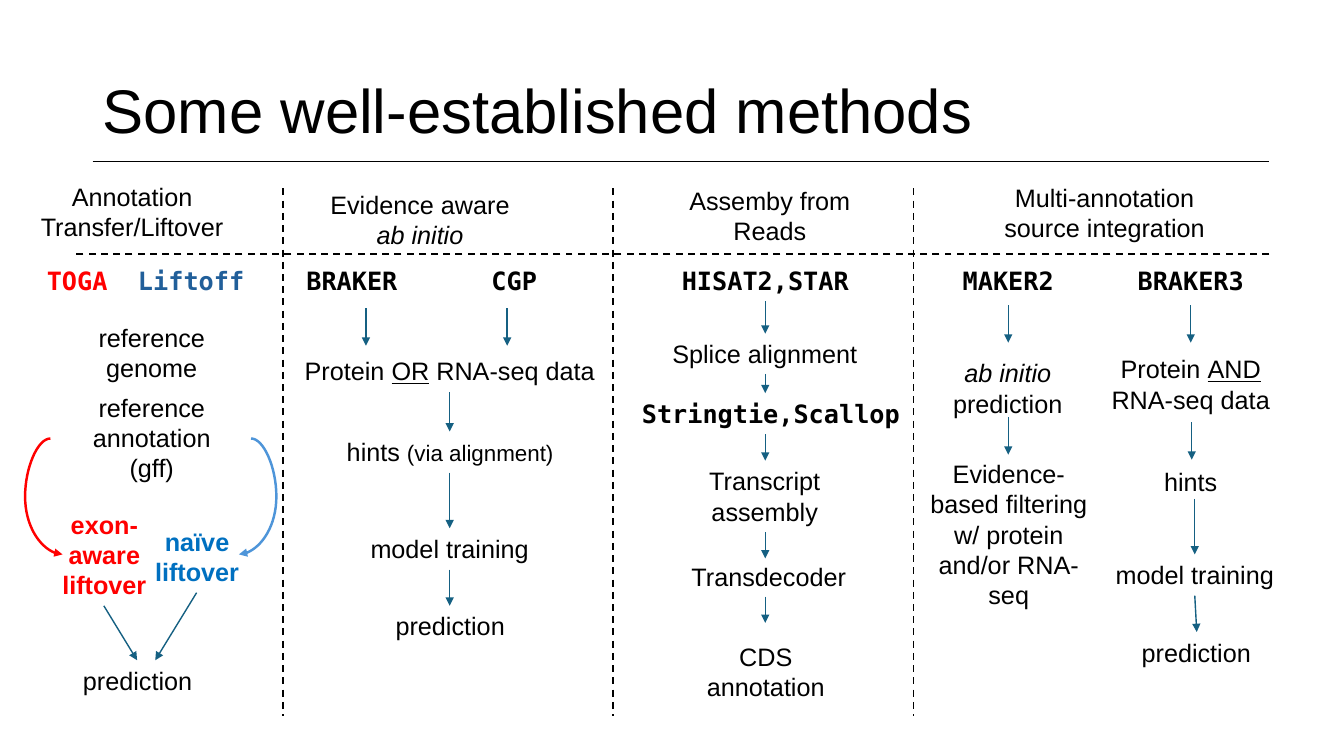
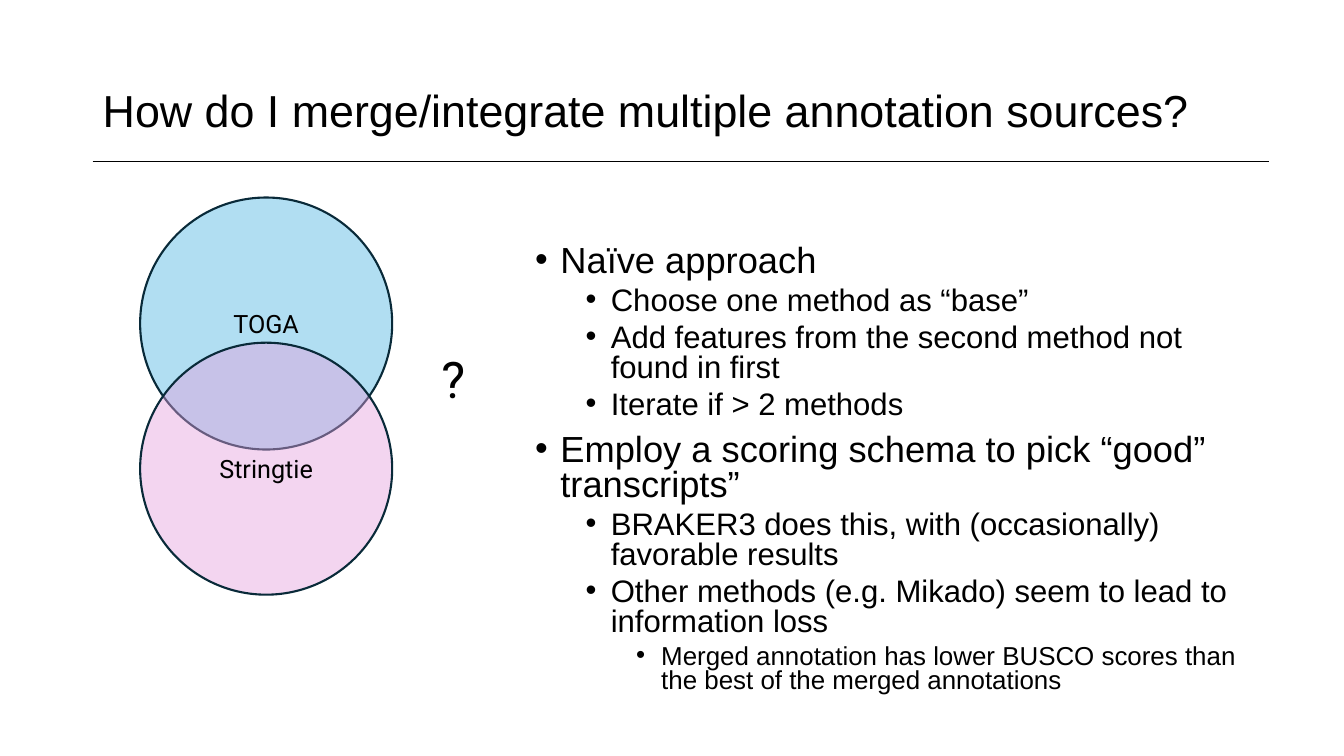
from lxml import etree
from pptx import Presentation
from pptx.dml.color import RGBColor
from pptx.enum.dml import MSO_LINE
from pptx.enum.shapes import MSO_CONNECTOR, MSO_SHAPE
from pptx.enum.text import MSO_ANCHOR, PP_ALIGN
from pptx.oxml.ns import qn
from pptx.util import Inches, Pt

STRAIGHT, CURVE = MSO_CONNECTOR.STRAIGHT, MSO_CONNECTOR.CURVE
OVAL = MSO_SHAPE.OVAL
DASH = MSO_LINE.DASH
LEFT, CENTER = PP_ALIGN.LEFT, PP_ALIGN.CENTER
TOP, MIDDLE = MSO_ANCHOR.TOP, MSO_ANCHOR.MIDDLE

BLACK = RGBColor(0x00, 0x00, 0x00)
RED = RGBColor(0xFF, 0x00, 0x00)
BLUE = RGBColor(0x00, 0x70, 0xC0)
DEEP_BLUE = RGBColor(0x21, 0x5F, 0x9A)
LIGHT_BLUE = RGBColor(0x4E, 0x95, 0xD9)
TEAL = RGBColor(0x15, 0x60, 0x82)
NAVY = RGBColor(0x09, 0x2A, 0x39)
SKY = RGBColor(0x46, 0xB1, 0xE1)
PINK = RGBColor(0xE5, 0x9E, 0xDD)

BODY = {"name": "Arial", "size": Pt(18)}
TOOL = {"name": "DejaVu Sans Mono", "size": Pt(18), "bold": True}
STRONG = {**BODY, "bold": True}
VENN = {"name": "Roboto", "size": Pt(18)}
ITALIC = {"italic": True}
UNDERLINE = {"underline": True}

LINE_HEIGHT = 0.3
TOOL_TOP = 2.58
HEADER_BOTTOM = 2.52

# Text, left, top, width, number of lines
HEADINGS = [
    ("Annotation Transfer/Liftover", 0.22, 1.75, 2.18, 2),
    ([("Evidence aware ", {}), ("ab initio", ITALIC)], 3.02, 1.83, 2.29, 2),
    ("Assemby from Reads", 6.46, 1.79, 2.35, 2),
    ("Multi-annotation source integration", 9.78, 1.76, 2.35, 2),
]
STEPS = [
    ("reference genome", 0.8, 3.15, 1.41, 2),
    ("reference annotation (gff)", 0.8, 3.84, 1.41, 3),
    ("prediction", 0.61, 6.55, 1.51, 1),
    ([("Protein ", {}), ("OR", UNDERLINE), (" RNA-seq data", {})],
     2.37, 3.48, 4.18, 1),
    ([("hints ", {}), ("(via alignment)", {"size": Pt(16)})],
     2.9, 4.28, 3.13, 1),
    ("model training", 3.4, 5.24, 2.12, 1),
    ("prediction", 3.71, 6.01, 1.51, 1),
    ("Splice alignment", 6.31, 3.31, 2.55, 1),
    ("Transcript assembly", 6.77, 4.57, 1.63, 2),
    ("Transdecoder", 6.66, 5.52, 1.93, 1),
    ("CDS annotation", 6.84, 6.31, 1.51, 2),
    ([("ab initio ", ITALIC), ("prediction", {})], 9.18, 3.5, 1.63, 2),
    ("Evidence-based filtering w/ protein and/or RNA-seq",
     9.04, 4.5, 1.93, 5),
    ([("Protein ", {}), ("AND", UNDERLINE), (" RNA-seq data", {})],
     10.81, 3.46, 2, 2),
    ("hints", 11.03, 4.58, 1.56, 1),
    ("model training", 10.79, 5.5, 2.12, 1),
    ("prediction", 11.11, 6.27, 1.51, 1),
]
# Text, left, width, colour
TOOLS = [
    ("TOGA", 0.16, 1.21, RED),
    ("Liftoff", 1.2, 1.39, DEEP_BLUE),
    ("BRAKER", 2.85, 1.28, BLACK),
    ("CGP", 3.93, 2.34, BLACK),
    ("HISAT2,STAR", 6.28, 2.62, BLACK),
    ("MAKER2", 9.28, 1.44, BLACK),
    ("BRAKER3", 11.09, 1.44, BLACK),
]
COLUMN_EDGES = [2.81, 6.08, 9.06]
# Horizontal position, then the start and end of each arrow
VERTICAL_ARROWS = [
    (3.63, [(3.06, 3.43)]),
    (5.03, [(3.06, 3.43)]),
    (4.46, [(3.89, 4.28), (4.69, 5.24), (5.65, 6.01)]),
    (7.59, [(2.99, 3.31), (3.71, 3.9), (4.31, 4.57), (5.28, 5.54),
            (5.92, 6.18)]),
    (10, [(3.03, 3.4), (4.14, 4.51)]),
    (11.81, [(3.03, 3.4)]),
    (11.82, [(4.19, 4.56)]),
    (11.85, [(4.95, 5.5)]),
]
SLANTED_ARROWS = [
    (1.03, 6.01, 1.36, 6.55),
    (1.95, 5.88, 1.54, 6.55),
    (11.85, 5.91, 11.87, 6.27),
]

# Indent, size and space before of each outline level
LEVELS = [(0.25, 25.9, 10), (0.75, 22.2, 5), (1.25, 18.5, 5)]
OUTLINE = [
    (0, "Naïve approach"),
    (1, "Choose one method as “base”"),
    (1, "Add features from the second method not found in first"),
    (1, "Iterate if > 2 methods"),
    (0, "Employ a scoring schema to pick “good” transcripts”"),
    (1, "BRAKER3 does this, with (occasionally) favorable results"),
    (1, "Other methods (e.g. Mikado) seem to lead to information loss"),
    (2, "Merged annotation has lower BUSCO scores than the best of the "
        "merged annotations"),
]


def add_element(parent, tag, **attributes):
    return etree.SubElement(parent, qn(tag), attributes)


def add_run(paragraph, text, style, color=BLACK):
    run = paragraph.add_run()
    run.text = text
    for name, value in style.items():
        setattr(run.font, name, value)
    run.font.color.rgb = color


def add_text_box(slide, left, top, width, height, anchor=TOP):
    """Return the text frame of a new wrapping text box."""
    shape = slide.shapes.add_textbox(
        Inches(left), Inches(top), Inches(width), Inches(height))
    frame = shape.text_frame
    frame.word_wrap = True
    frame.vertical_anchor = anchor
    return frame


def add_label(slide, text, left, top, width, lines=1, style=BODY,
              color=BLACK):
    """Add centred text, given as a string or as (text, format) runs."""
    frame = add_text_box(slide, left, top, width, 0.1 + LINE_HEIGHT * lines)
    paragraph = frame.paragraphs[0]
    paragraph.alignment = CENTER
    runs = [(text, {})] if isinstance(text, str) else text
    for run_text, changes in runs:
        add_run(paragraph, run_text, {**style, **changes}, color)


def add_line(slide, start_x, start_y, end_x, end_y, color=BLACK, width=1,
             kind=STRAIGHT, dash=None, arrow=False):
    connector = slide.shapes.add_connector(
        kind, Inches(start_x), Inches(start_y), Inches(end_x), Inches(end_y))
    connector.line.color.rgb = color
    connector.line.width = Pt(width)
    if dash:
        connector.line.dash_style = dash
    properties = connector.element.spPr
    if arrow:
        add_element(properties.find(qn("a:ln")), "a:tailEnd", type="triangle")
    add_element(properties, "a:effectLst")
    return connector


def add_arrow(slide, *ends):
    add_line(slide, *ends, color=TEAL, arrow=True)


def add_curved_arrow(slide, *ends, color):
    """Add an arrow that bulges outwards beyond its start."""
    connector = add_line(slide, *ends, color=color, width=1.75, kind=CURVE,
                         arrow=True)
    geometry = connector.element.spPr.find(qn("a:prstGeom"))
    adjustments = geometry.find(qn("a:avLst"))
    if adjustments is None:
        adjustments = add_element(geometry, "a:avLst")
    add_element(adjustments, "a:gd", name="adj1", fmla="val -209500")


def add_circle(slide, text, top, color, opacity):
    shape = slide.shapes.add_shape(
        OVAL, Inches(1.39), Inches(top), Inches(2.5), Inches(2.5))
    shape.shadow.inherit = False
    shape.fill.solid()
    shape.fill.fore_color.rgb = color
    color_element = shape.element.spPr.find(qn("a:solidFill"))[0]
    add_element(color_element, "a:alpha", val=str(opacity * 1000))
    shape.line.color.rgb = NAVY
    shape.line.width = Pt(1.5)
    frame = shape.text_frame
    frame.vertical_anchor = MIDDLE
    paragraph = frame.paragraphs[0]
    paragraph.alignment = CENTER
    add_run(paragraph, text, VENN)


def add_outline(slide, items, left, top, width, height):
    frame = add_text_box(slide, left, top, width, height)
    for index, (level, text) in enumerate(items):
        paragraph = frame.add_paragraph() if index else frame.paragraphs[0]
        indent, size, space = LEVELS[level]
        values = {"level": level, "alignment": LEFT, "line_spacing": 0.8,
                  "space_before": Pt(space if index else 0)}
        for name, value in values.items():
            setattr(paragraph, name, value)
        properties = paragraph._p.get_or_add_pPr()
        properties.set("marL", str(Inches(indent)))
        properties.set("indent", str(Inches(-0.25)))
        add_element(properties, "a:buFont", typeface="Arial")
        add_element(properties, "a:buChar", char="•")
        add_run(paragraph, text, {**BODY, "size": Pt(size)})


def add_titled_slide(presentation, title, size):
    slide = presentation.slides.add_slide(presentation.slide_layouts[6])
    frame = add_text_box(slide, 0.92, 0.4, 11.5, 1.45, MIDDLE)
    paragraph = frame.paragraphs[0]
    paragraph.line_spacing = 0.9
    add_run(paragraph, title, {**BODY, "size": Pt(size)})
    add_line(slide, 0.92, 1.6, 12.59, 1.6)
    return slide


def build_methods(presentation):
    slide = add_titled_slide(presentation, "Some well-established methods", 44)
    for x in COLUMN_EDGES:
        add_line(slide, x, 1.87, x, 7.1, width=1.25, dash=DASH)
    add_line(slide, 12.59, HEADER_BOTTOM, 0.75, HEADER_BOTTOM, width=1.25,
             dash=DASH)
    for label in HEADINGS + STEPS:
        add_label(slide, *label)
    for text, left, width, color in TOOLS:
        add_label(slide, text, left, TOOL_TOP, width, style=TOOL, color=color)
    add_label(slide, "Stringtie,Scallop", 5.97, 3.9, 3.35, style=TOOL)
    add_label(slide, "exon-aware liftover", 0.43, 5, 1.21, 3, STRONG, RED)
    add_label(slide, "naïve liftover", 1.35, 5.17, 1.21, 2, STRONG, BLUE)
    for x, spans in VERTICAL_ARROWS:
        for start, end in spans:
            add_arrow(slide, x, start, x, end)
    for ends in SLANTED_ARROWS:
        add_arrow(slide, *ends)
    add_curved_arrow(slide, 0.5, 4.35, 0.62, 5.5, color=RED)
    add_curved_arrow(slide, 2.49, 4.35, 2.37, 5.5, color=LIGHT_BLUE)


def build_merging(presentation):
    slide = add_titled_slide(
        presentation, "How do I merge/integrate multiple annotation sources?",
        32)
    add_circle(slide, "TOGA", 1.96, SKY, 42)
    add_circle(slide, "Stringtie", 3.4, PINK, 43)
    add_outline(slide, OUTLINE, 5.21, 2.39, 7.21, 4.51)
    add_label(slide, "?", 3.78, 3.4, 1.43, 2, {**VENN, "size": Pt(36)})


def main():
    presentation = Presentation()
    presentation.slide_width = Inches(13.33)
    presentation.slide_height = Inches(7.5)
    build_methods(presentation)
    build_merging(presentation)
    presentation.save("out.pptx")


if __name__ == "__main__":
    main()
